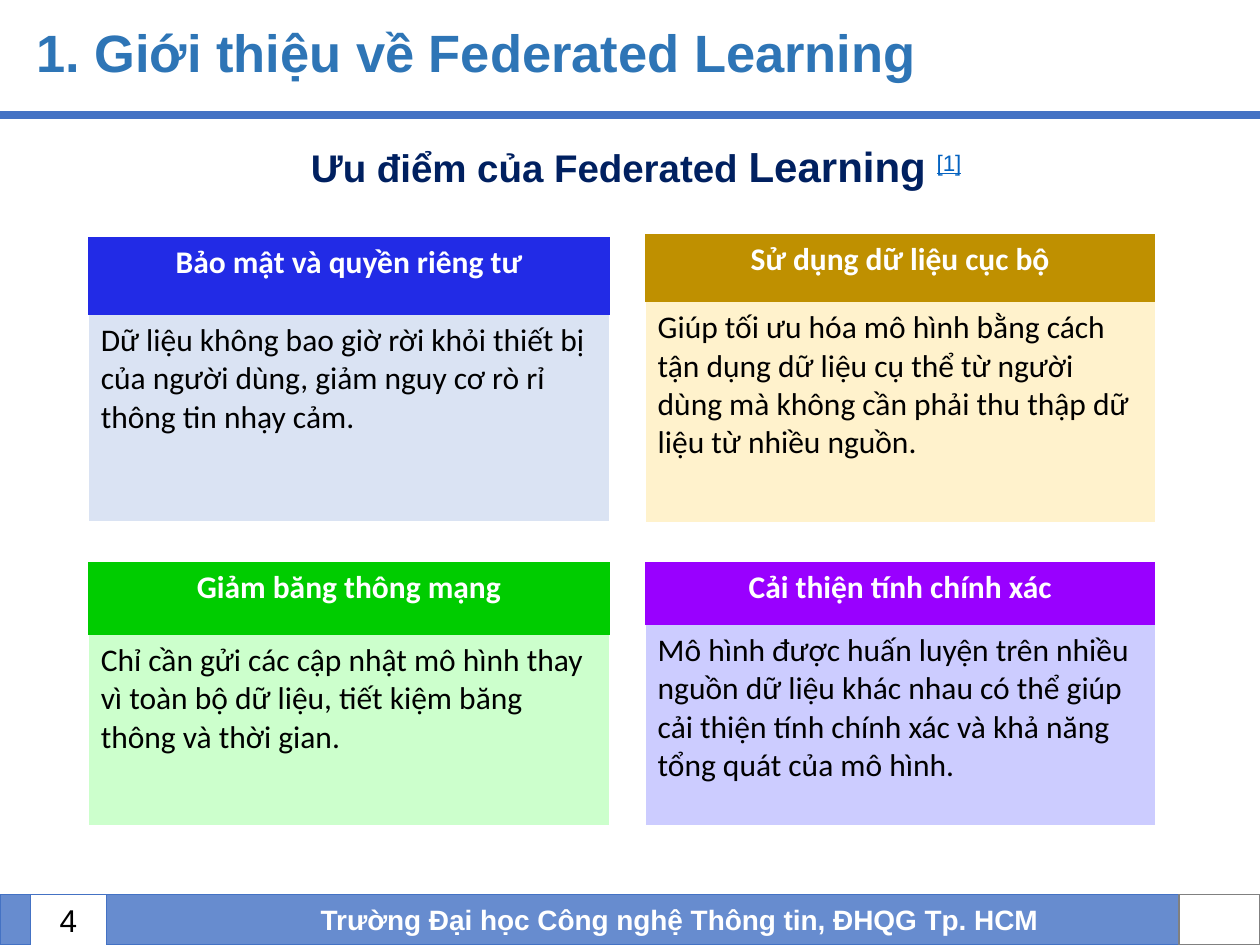
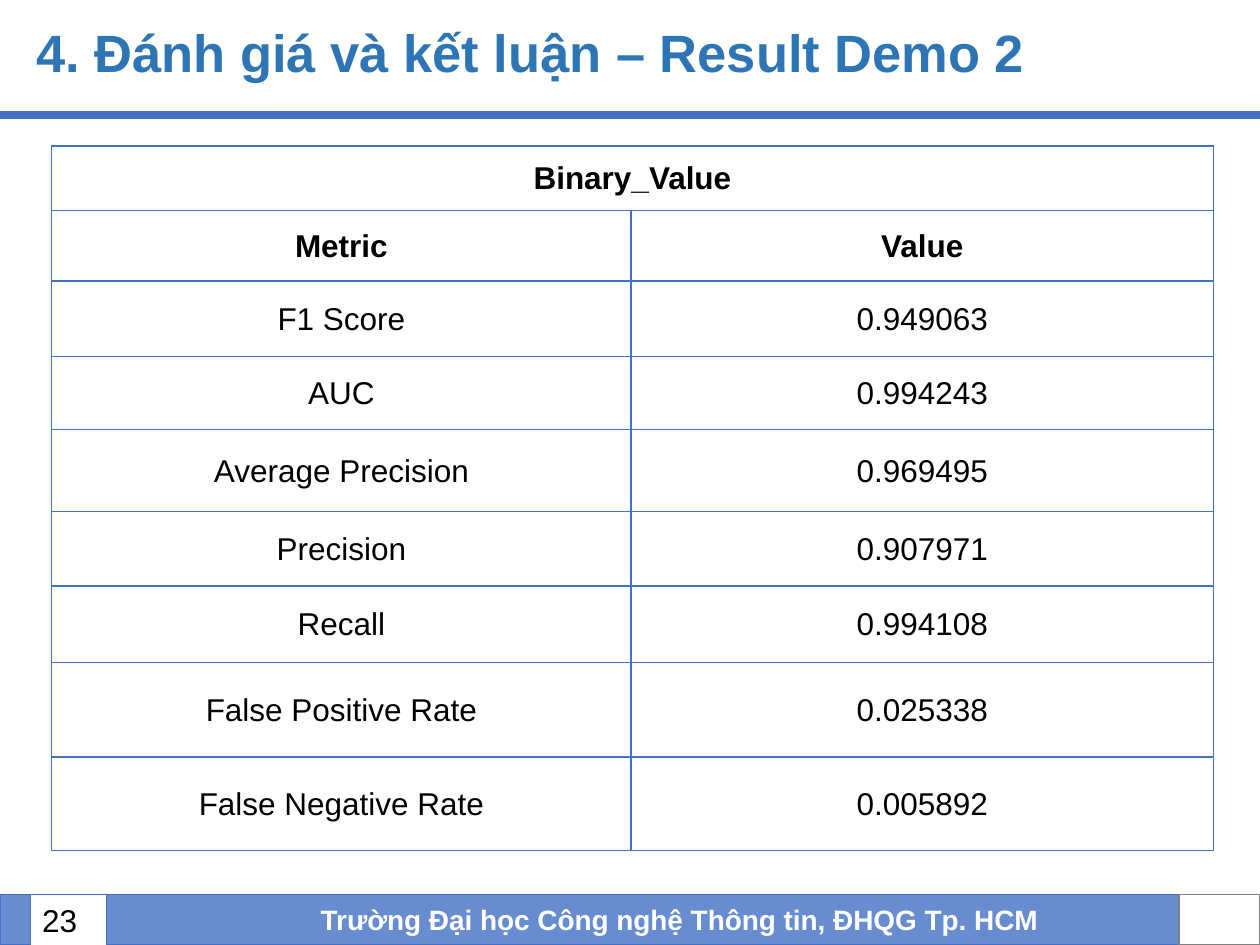
import collections
import dataclasses

import pptx
import pptx.dml.color
import pptx.enum.shapes
import pptx.enum.text
import pptx.oxml
import pptx.oxml.ns
import pptx.util
from pptx.util import Inches

ALIGN = pptx.enum.text.PP_ALIGN
ANCHOR = pptx.enum.text.MSO_ANCHOR
NO_GRID_STYLE = "{2D5ABB26-0587-4C30-8999-92F81FD0307C}"

Box = collections.namedtuple("Box", "left top width height")
Card = collections.namedtuple("Card", "heading text strong pale box heading_height")


@dataclasses.dataclass(frozen=True)
class Theme:
    font: str = "Arial"
    card_font: str = "Calibri"
    accent: str = "4472C4"
    title: str = "2E75B6"
    subtitle: str = "002060"
    link: str = "0563C1"
    grey: str = "808080"
    white: str = "FFFFFF"
    black: str = "000000"
    title_size: int = 30
    emphasis_size: int = 24
    subtitle_size: int = 22
    text_size: int = 18
    footer_size: int = 16


THEME = Theme()
FOOTER = "Trường Đại học Công nghệ Thông tin, ĐHQG Tp. HCM"
FOOTER_BOX = Box(0, 7.1, 10, 0.4)
TITLE_BOX = Box(0.19, 0.16, 8.98, 0.56)

LEFT_COLUMN, RIGHT_COLUMN = (0.7, 4.14), (5.12, 4.05)  # left, width
CARDS = [
    Card("Bảo mật và quyền riêng tư",
         "Dữ liệu không bao giờ rời khỏi thiết bị của người dùng, giảm nguy cơ "
         "rò rỉ thông tin nhạy cảm.",
         "222BE6", "DAE3F3", Box(LEFT_COLUMN[0], 1.88, LEFT_COLUMN[1], 2.26), 0.62),
    Card("Sử dụng dữ liệu cục bộ",
         "Giúp tối ưu hóa mô hình bằng cách tận dụng dữ liệu cụ thể từ người dùng "
         "mà không cần phải thu thập dữ liệu từ nhiều nguồn.",
         "BF9000", "FFF2CC", Box(RIGHT_COLUMN[0], 1.86, RIGHT_COLUMN[1], 2.29), 0.54),
    Card("Giảm băng thông mạng",
         "Chỉ cần gửi các cập nhật mô hình thay vì toàn bộ dữ liệu, tiết kiệm băng "
         "thông và thời gian.",
         "00CC00", "CCFFCC", Box(LEFT_COLUMN[0], 4.46, LEFT_COLUMN[1], 2.09), 0.58),
    Card("Cải thiện tính chính xác",
         "Mô hình được huấn luyện trên nhiều nguồn dữ liệu khác nhau có thể giúp "
         "cải thiện tính chính xác và khả năng tổng quát của mô hình.",
         "9900FF", "CCCCFF", Box(RIGHT_COLUMN[0], 4.46, RIGHT_COLUMN[1], 2.09), 0.5),
]

RESULTS = [
    ("Binary_Value", ""),
    ("Metric", "Value"),
    ("F1 Score", "0.949063"),
    ("AUC", "0.994243"),
    ("Average Precision", "0.969495"),
    ("Precision", "0.907971"),
    ("Recall", "0.994108"),
    ("False Positive Rate", "0.025338"),
    ("False Negative Rate", "0.005892"),
]
RESULT_HEIGHTS = [0.51, 0.56, 0.6, 0.58, 0.65, 0.59, 0.61, 0.75, 0.74]


def rgb(color):
    return pptx.dml.color.RGBColor.from_string(color)


def inches(box):
    return [Inches(length) for length in box]


def style_font(font, size, color, bold=False, name=THEME.font):
    font.name = name
    font.size = pptx.util.Pt(size)
    font.bold = bold
    font.color.rgb = rgb(color)


def add_rectangle(page, box, fill, line, line_width):
    shape = page.shapes.add_shape(pptx.enum.shapes.MSO_SHAPE.RECTANGLE, *inches(box))
    shape.shadow.inherit = False
    shape.fill.solid()
    shape.fill.fore_color.rgb = rgb(fill)
    shape.line.color.rgb = rgb(line)
    shape.line.width = pptx.util.Pt(line_width)
    return shape


def add_text_box(page, box, anchor=ANCHOR.MIDDLE):
    """Add an empty wrapping text box and return its first paragraph."""
    frame = page.shapes.add_textbox(*inches(box)).text_frame
    frame.word_wrap = True
    frame.vertical_anchor = anchor
    return frame.paragraphs[0]


def add_title(page, box, text):
    para = add_text_box(page, box)
    para.text = text
    para.line_spacing = 0.9
    style_font(para.font, THEME.title_size, THEME.title, bold=True)


def add_title_rule(page, top, width):
    rule = page.shapes.add_connector(
        pptx.enum.shapes.MSO_CONNECTOR.STRAIGHT,
        0, Inches(top), Inches(width), Inches(top))
    rule.line.color.rgb = rgb(THEME.accent)
    rule.line.width = pptx.util.Pt(4.5)
    rule._element.spPr.append(pptx.oxml.parse_xml(
        f"<a:effectLst {pptx.oxml.ns.nsdecls('a')}/>"))


def add_footer(page, box, number):
    def part(left, width):
        return Box(box.left + left, box.top, width, box.height)

    band = add_rectangle(page, part(0, 9.48), THEME.accent, THEME.accent, 1)
    fill_color = band._element.spPr.find(".//" + pptx.oxml.ns.qn("a:srgbClr"))
    fill_color.append(pptx.oxml.parse_xml(
        f"<a:alpha {pptx.oxml.ns.nsdecls('a')} val='81000'/>"))
    frame = band.text_frame
    frame.word_wrap = True
    frame.vertical_anchor = ANCHOR.MIDDLE
    frame.margin_left = frame.margin_right = Inches(0.15)
    frame.margin_top = frame.margin_bottom = Inches(0.07)
    para = frame.paragraphs[0]
    para.text = FOOTER
    para.alignment = ALIGN.CENTER
    para._p.get_or_add_pPr().set("marL", str(Inches(1.31)))
    style_font(para.font, THEME.footer_size, THEME.white, bold=True)

    add_rectangle(page, part(0.24, 0.6), THEME.white, THEME.accent, 0.25)
    add_rectangle(page, part(9.36, 0.64), THEME.white, THEME.grey, 1)
    para = add_text_box(page, part(0.11, 0.6))
    para.text = str(number)
    para.alignment = ALIGN.RIGHT
    style_font(para.font, THEME.text_size, THEME.black)


def add_page(deck, title, number):
    page = deck.slides.add_slide(deck.slide_layouts[6])
    add_title_rule(page, 0.91, 10)
    add_title(page, TITLE_BOX, title)
    add_footer(page, FOOTER_BOX, number)
    return page


def add_plain_table(page, box, widths, heights):
    """Add a table without banding or style lines."""
    table = page.shapes.add_table(len(heights), len(widths), *inches(box)).table
    table.first_row = table.horz_banding = False
    table._tbl.tblPr.find(pptx.oxml.ns.qn("a:tableStyleId")).text = NO_GRID_STYLE
    for column, width in zip(table.columns, widths):
        column.width = Inches(width)
    for row, height in zip(table.rows, heights):
        row.height = Inches(height)
    return table


def set_borders(cell, sides, color):
    """Draw 1 pt borders on the sides, given in the order L, R, T, B."""
    properties = cell._tc.get_or_add_tcPr()
    for index, side in enumerate(sides):
        properties.insert(index, pptx.oxml.parse_xml(
            f"<a:ln{side} {pptx.oxml.ns.nsdecls('a')} w='12700'><a:solidFill>"
            f"<a:srgbClr val='{color}'/></a:solidFill></a:ln{side}>"))


def fill_card_cell(cell, text, fill, color, bold, alignment):
    cell.fill.solid()
    cell.fill.fore_color.rgb = rgb(fill)
    para = cell.text_frame.paragraphs[0]
    para.text = text
    para.alignment = alignment
    style_font(para.font, THEME.text_size, color, bold, THEME.card_font)


def add_card(page, card):
    box = card.box
    heights = [card.heading_height, box.height - card.heading_height]
    table = add_plain_table(page, box, [box.width], heights)
    heading, body = table.cell(0, 0), table.cell(1, 0)
    fill_card_cell(heading, card.heading, card.strong, THEME.white, True, ALIGN.CENTER)
    fill_card_cell(body, card.text, card.pale, THEME.black, False, ALIGN.LEFT)
    set_borders(body, "LRB", THEME.white)


def add_subtitle(page, box):
    para = add_text_box(page, box, ANCHOR.TOP)
    para.line_spacing = 1.15
    para.space_after = pptx.util.Pt(10)
    style_font(para.font, THEME.subtitle_size, THEME.subtitle, bold=True)
    spans = []
    for text in ("Ưu điểm của Federated ", "Learning", " ", "[1]"):
        span = para.add_run()
        span.text = text
        spans.append(span)
    spans[1].font.size = pptx.util.Pt(THEME.emphasis_size)
    citation = spans[-1]
    citation.font.bold = False
    citation.font.underline = True
    citation.font.color.rgb = rgb(THEME.link)
    citation._r.get_or_add_rPr().set("baseline", "30000")


def add_results(page, box):
    table = add_plain_table(page, box, [4.6, 4.62], RESULT_HEIGHTS)
    table.cell(0, 0).merge(table.cell(0, 1))
    for row, values in enumerate(RESULTS):
        for column, value in enumerate(values):
            cell = table.cell(row, column)
            cell.fill.background()
            set_borders(cell, "LRTB", THEME.accent)
            cell.vertical_anchor = ANCHOR.MIDDLE
            cell.margin_left = cell.margin_right = cell.margin_top = Inches(0.01)
            cell.margin_bottom = 0
            if cell.is_spanned:
                continue
            para = cell.text_frame.paragraphs[0]
            para.text = value
            para.alignment = ALIGN.CENTER
            style_font(para.font, THEME.text_size, THEME.black, bold=row < 2)


def add_advantages_page(deck):
    page = add_page(deck, "1. Giới thiệu về Federated Learning", 4)
    add_subtitle(page, Box(2.37, 1.01, 5.67, 0.56))
    for card in CARDS:
        add_card(page, card)


def add_results_page(deck):
    page = add_page(deck, "4. Đánh giá và kết luận – Result Demo 2", 23)
    add_results(page, Box(0.41, 1.16, 9.22, 5.6))


def main():
    deck = pptx.Presentation()
    deck.slide_width, deck.slide_height = Inches(10), Inches(7.5)
    add_advantages_page(deck)
    add_results_page(deck)
    deck.save("out.pptx")


if __name__ == "__main__":
    main()
